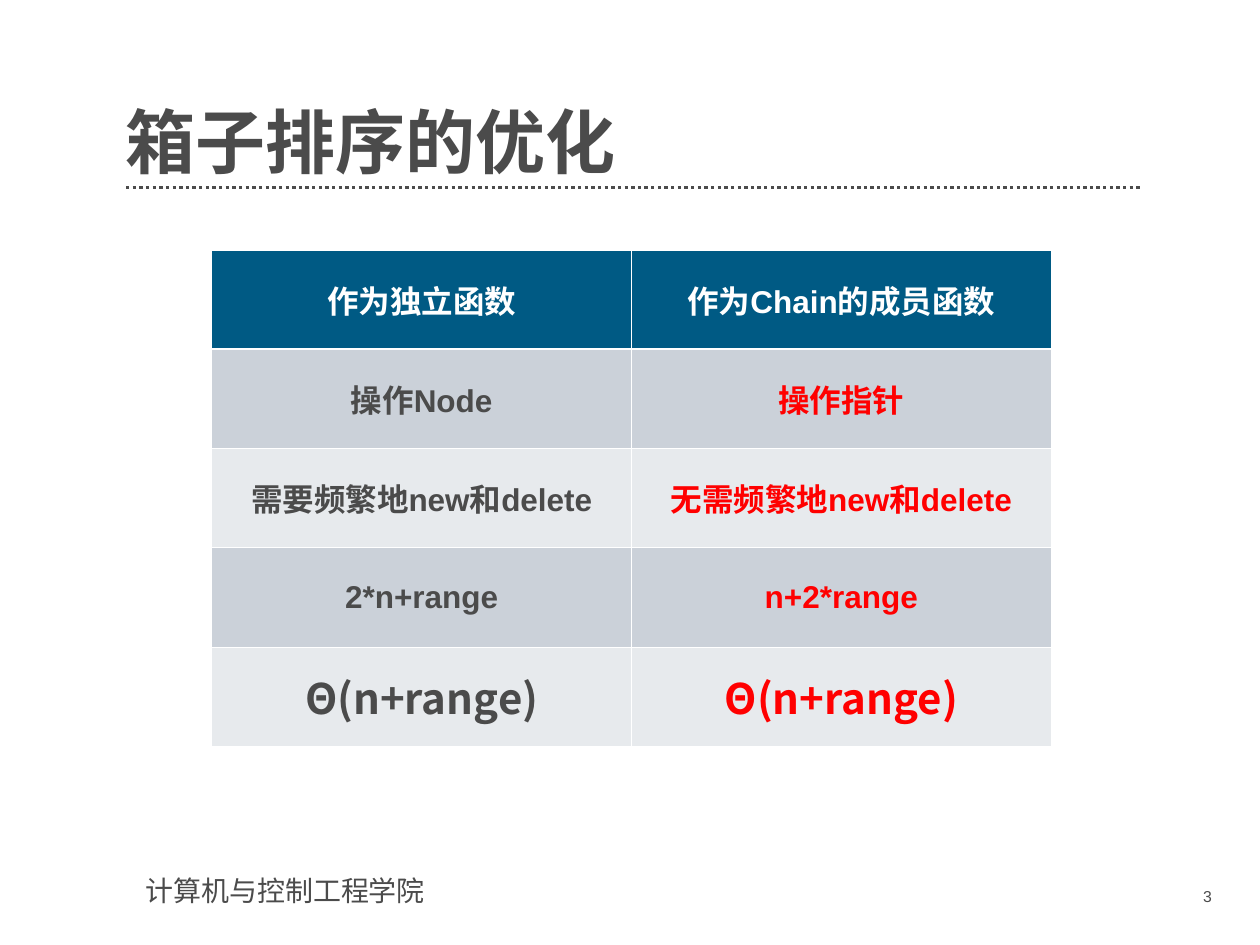
"""Build the slide comparing two ways of implementing bin sort."""
from lxml.etree import SubElement
from pptx import Presentation
from pptx.dml.color import RGBColor
from pptx.enum.dml import MSO_LINE
from pptx.enum.shapes import MSO_CONNECTOR
from pptx.enum.text import MSO_ANCHOR as Anchor, PP_ALIGN as Align
from pptx.oxml.ns import qn
from pptx.util import Cm, Pt

COLORS = {"text": "4B4B4B", "header": "005A84", "dark_band": "CBD1D9",
          "light_band": "E7EAED", "white": "FFFFFF", "accent": "FF0000"}
LATIN, CHINESE = "Arial", "Noto Sans CJK SC"
TITLE = "箱子排序的优化"
FOOTER = "计算机与控制工程学院"
SLIDE_NUMBER = "3"
ROWS = [
    ("作为独立函数", "作为Chain的成员函数"),
    ("操作Node", "操作指针"),
    ("需要频繁地new和delete", "无需频繁地new和delete"),
    ("2*n+range", "n+2*range"),
    ("Θ(n+range)", "Θ(n+range)"),
]
COLUMN_WIDTH, ROW_HEIGHT = Cm(8.46), Cm(2)
THIN, THICK = Pt(0.45), Pt(1.47)


def color(name):
    return RGBColor.from_string(COLORS[name])


def write(frame, text, size, name=LATIN, ink="text", bold=False, align=Align.LEFT):
    paragraph = frame.paragraphs[0]
    paragraph.text = text
    paragraph.alignment = align
    font = paragraph.font
    font.size, font.name, font.bold = Pt(size), name, bold
    font.color.rgb = color(ink)
    defaults = paragraph._p.pPr.find(qn("a:defRPr"))
    SubElement(defaults, qn("a:ea"), typeface=CHINESE)
    return paragraph


def add_text(slide, box, text, size, **style):
    frame = slide.shapes.add_textbox(*map(Cm, box)).text_frame
    frame.word_wrap = True
    return frame, write(frame, text, size, **style)


def add_borders(cell, top, bottom):
    properties = cell._tc.get_or_add_tcPr()
    widths = {"lnL": THIN, "lnR": THIN, "lnT": top, "lnB": bottom}
    for position, (side, width) in enumerate(widths.items()):
        line = SubElement(properties, qn(f"a:{side}"), w=str(int(width)))
        fill = SubElement(line, qn("a:solidFill"))
        SubElement(fill, qn("a:srgbClr"), val=COLORS["white"])
        properties.insert(position, line)


def add_title(slide):
    frame, paragraph = add_text(slide, (2.54, 1.4, 20.47, 2.31), TITLE, 40,
                                name=CHINESE, bold=True)
    frame.margin_left = frame.margin_right = frame.margin_top = frame.margin_bottom = 0
    frame.vertical_anchor = Anchor.BOTTOM
    paragraph.line_spacing = 0.9
    rule = slide.shapes.add_connector(MSO_CONNECTOR.STRAIGHT,
                                      Cm(2.54), Cm(3.78), Cm(23.01), Cm(3.78))
    rule.line.color.rgb = color("text")
    rule.line.width = Pt(1.9)
    rule.line.dash_style = MSO_LINE.ROUND_DOT
    SubElement(rule._element.spPr, qn("a:effectLst"))


def add_comparison(slide):
    rows, columns = len(ROWS), len(ROWS[0])
    table = slide.shapes.add_table(rows, columns, Cm(4.27), Cm(5.04),
                                   COLUMN_WIDTH * columns, ROW_HEIGHT * rows).table
    for column in table.columns:
        column.width = COLUMN_WIDTH
    for row, texts in enumerate(ROWS):
        table.rows[row].height = ROW_HEIGHT
        band = "header" if row == 0 else "dark_band" if row % 2 else "light_band"
        is_cost = row == rows - 1
        for column, text in enumerate(texts):
            cell = table.cell(row, column)
            cell.vertical_anchor = Anchor.MIDDLE
            cell.fill.solid()
            cell.fill.fore_color.rgb = color(band)
            add_borders(cell, THICK if row == 1 else THIN, THICK if row == 0 else THIN)
            write(cell.text_frame, text, 24 if is_cost else 18,
                  name=CHINESE if is_cost else LATIN,
                  ink="white" if row == 0 else ("text", "accent")[column],
                  bold=True, align=Align.CENTER)


def main():
    presentation = Presentation()
    presentation.slide_width, presentation.slide_height = Cm(25.4), Cm(19.05)
    slide = presentation.slides.add_slide(presentation.slide_layouts[6])
    add_title(slide)
    add_comparison(slide)
    add_text(slide, (2.69, 17.48, 6.5, 0.94), FOOTER, 16)
    add_text(slide, (22.17, 17.75, 2.51, 0.74), SLIDE_NUMBER, 9, align=Align.RIGHT)
    presentation.save("out.pptx")


if __name__ == "__main__":
    main()
